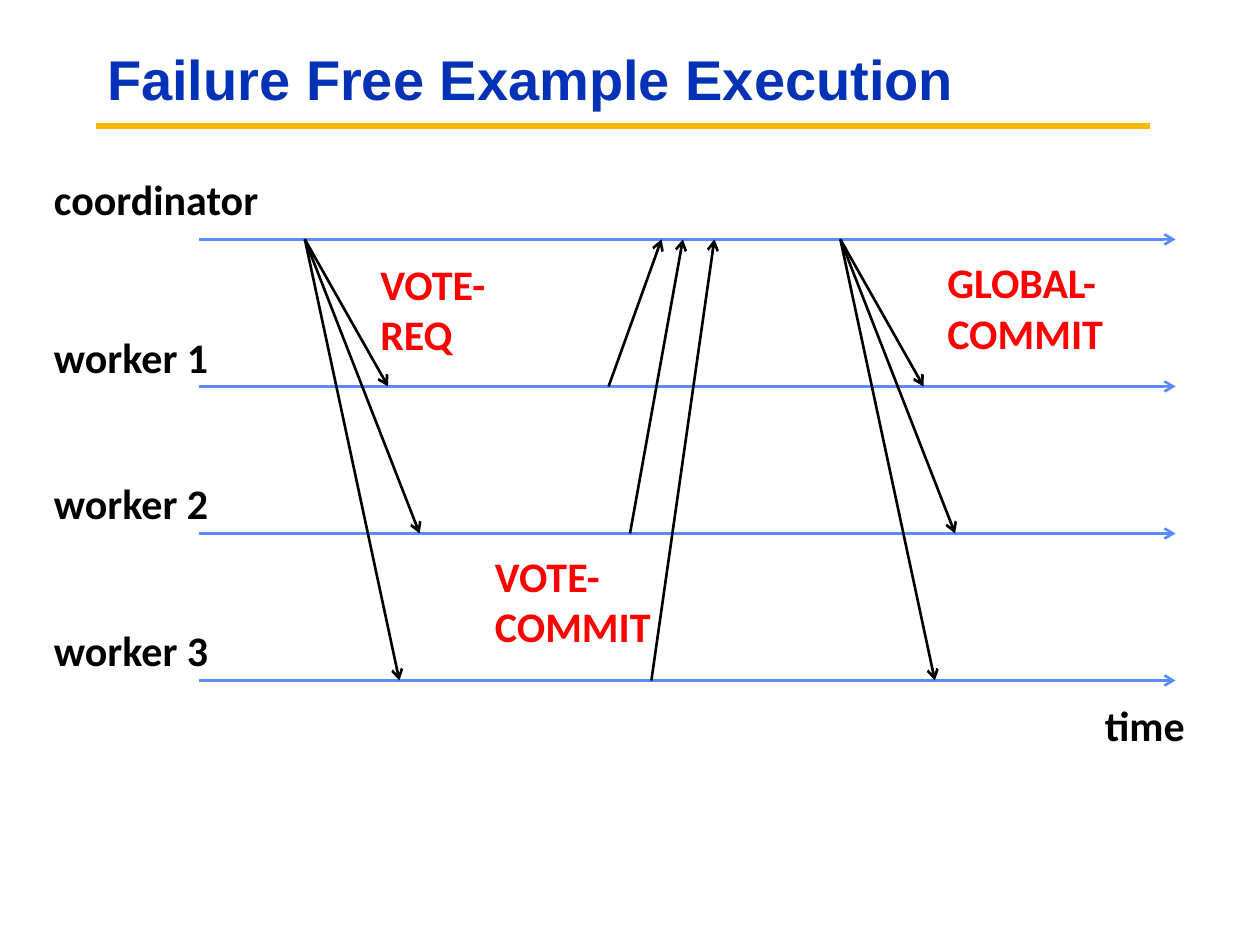
from lxml.etree import SubElement
from pptx import Presentation
from pptx.dml.color import RGBColor
from pptx.enum.shapes import MSO_CONNECTOR
from pptx.enum.text import MSO_ANCHOR, PP_ALIGN
from pptx.oxml.ns import qn
from pptx.util import Inches, Pt

NAVY = RGBColor(0x03, 0x32, 0xB7)
GOLD = RGBColor(0xFB, 0xBA, 0x03)
BLUE = RGBColor(0x5B, 0x8A, 0xFB)
BLACK = RGBColor(0, 0, 0)
RED = RGBColor(0xFF, 0, 0)

# Content
TITLE = "Failure Free Example Execution"
TOP, STEP = 1.9, 1.167  # first timeline and gap between timelines
START, END = 1.58, 9.33
ROWS = [  # name, label top, label width
    ("coordinator", 1.33, 2),
    ("worker 1", 2.58, 1.58),
    ("worker 2", 3.74, 1.58),
    ("worker 3", 4.91, 1.58),
]
CASTS = [2.42, 6.67]  # times at which the coordinator sends to all workers
DELAYS = [0.66, 0.91, 0.75]  # travel time to each worker
VOTES = [(4.83, 5.25), (5, 5.42), (5.17, 5.67)]  # sent, received
NOTES = [  # text, left, top, width, height, colour
    ("VOTE-REQ", 2.92, 2, 1.33, 0.91, RED),
    ("VOTE-COMMIT", 3.83, 4.32, 1.58, 0.91, RED),
    ("GLOBAL-COMMIT", 7.42, 1.99, 1.67, 0.91, RED),
    ("time", 8.67, 5.5, 0.92, 0.51, BLACK),
]

deck = Presentation()
deck.slide_width, deck.slide_height = Inches(10), Inches(7.5)
slide = deck.slides.add_slide(deck.slide_layouts[5])


def style(frame, text, font, size, color):
    frame.text = text
    face = frame.paragraphs[0].runs[0].font
    face.name, face.size, face.bold = font, Pt(size), True
    face.color.rgb = color


def label(text, left, top, width, height, color):
    box = slide.shapes.add_textbox(*map(Inches, (left, top, width, height)))
    box.text_frame.word_wrap = True
    style(box.text_frame, text, "Calibri", 24, color)


def line(x1, y1, x2, y2, color, width=1.5, arrow=True):
    link = slide.shapes.add_connector(
        MSO_CONNECTOR.STRAIGHT, *map(Inches, (x1, y1, x2, y2)))
    link.line.color.rgb = color
    link.line.width = Pt(width)
    if arrow:
        SubElement(link.line._get_or_add_ln(), qn("a:tailEnd"), type="arrow")
    SubElement(link._element.spPr, qn("a:effectLst"))


def level(row):
    return TOP + row * STEP


# Title and rule
title = slide.shapes.title
title.left, title.top = Inches(0.75), Inches(0.25)
title.width, title.height = Inches(8.42), Inches(0.81)
style(title.text_frame, TITLE, "Arial", 32, NAVY)
title.text_frame.vertical_anchor = MSO_ANCHOR.MIDDLE
title.text_frame.paragraphs[0].alignment = PP_ALIGN.LEFT
title.text_frame.paragraphs[0].line_spacing = 0.9
line(0.76, 1, 9.13, 1, GOLD, 3.75, False)

# Timelines
for row, (name, top, width) in enumerate(ROWS):
    line(START, level(row), END, level(row), BLUE)
    label(name, 0.33, top, width, 0.51, BLACK)

# Messages from the coordinator to the workers
for sent in CASTS:
    for row, delay in enumerate(DELAYS, 1):
        line(sent, TOP, sent + delay, level(row), BLACK)

# Votes from the workers back to the coordinator
for row, (sent, got) in enumerate(VOTES, 1):
    line(sent, level(row), got, TOP, BLACK)

# Message names and time axis
for note in NOTES:
    label(*note)

deck.save("out.pptx")
